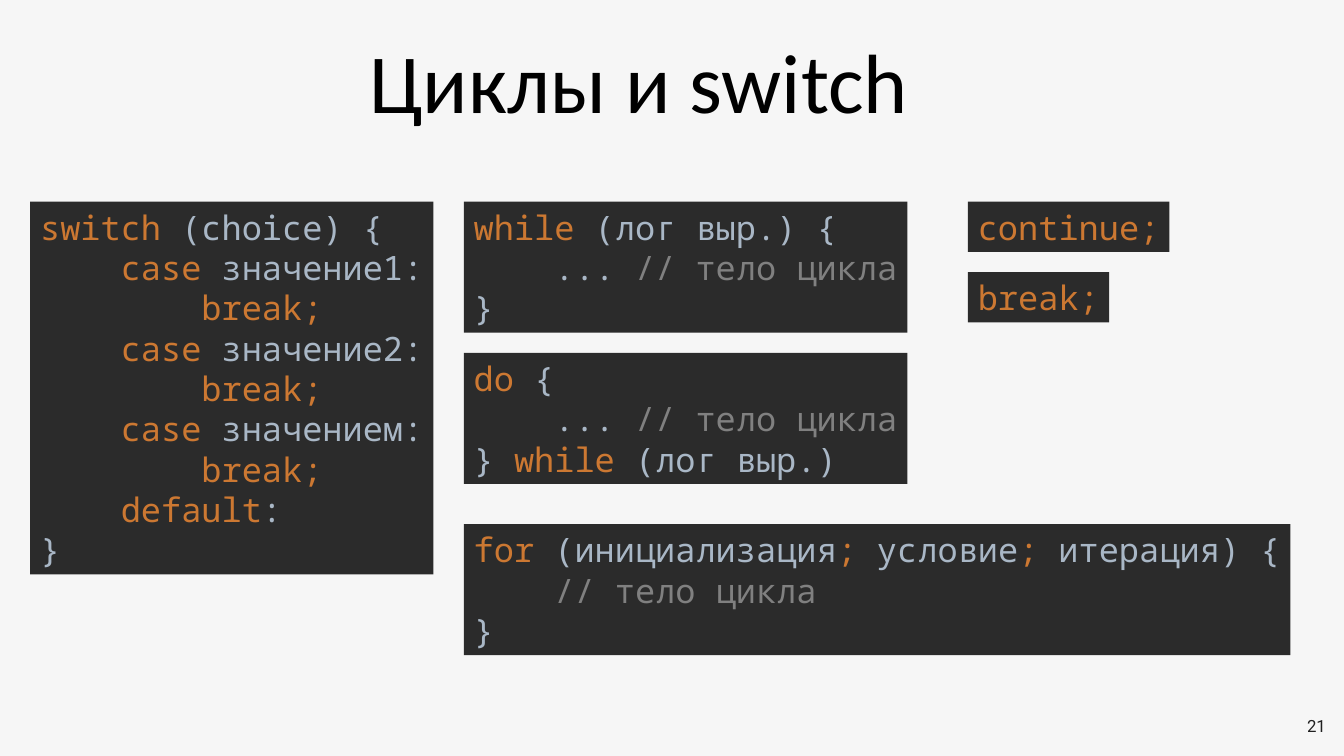
from dataclasses import dataclass

from pptx import Presentation
from pptx.dml.color import RGBColor
from pptx.enum.shapes import MSO_SHAPE
from pptx.enum.text import MSO_ANCHOR, MSO_AUTO_SIZE, PP_ALIGN
from pptx.slide import Slide
from pptx.text.text import TextFrame
from pptx.util import Inches, Pt


@dataclass(frozen=True)
class Theme:
    background: str = "F6F6F6"
    title: str = "000000"
    number: str = "202020"
    panel: str = "2B2B2B"
    keyword: str = "CC7832"
    plain: str = "A9B7C6"
    comment: str = "808080"
    title_font: str = "Calibri"
    number_font: str = "Roboto"
    code_font: str = "Noto Sans Mono"
    title_size: int = 60
    number_size: int = 12
    code_size: int = 24


THEME = Theme()
INDENT_STEP = 0.8  # four monospaced characters at the code size


@dataclass(frozen=True)
class Run:
    text: str
    color: str


@dataclass(frozen=True)
class Line:
    runs: tuple[Run, ...]
    level: int = 0


@dataclass(frozen=True)
class CodePanel:
    left: float
    top: float
    width: float
    lines: tuple[Line, ...]

    @property
    def height(self) -> float:
        return 0.1 + 0.4 * len(self.lines)


def keyword(text: str) -> Run:
    return Run(text, THEME.keyword)


def plain(text: str) -> Run:
    return Run(text, THEME.plain)


def line(*runs: Run, level: int = 0) -> Line:
    return Line(runs, level)


def case_lines(value: str) -> tuple[Line, Line]:
    return (line(keyword("case "), plain(f"{value}:"), level=1),
            line(keyword("break;"), level=2))


COMMENT = Run("// тело цикла", THEME.comment)
LOOP_BODY = line(plain("... "), COMMENT, level=1)
CLOSING = line(plain("}"))

PANELS = (
    CodePanel(0.3, 2, 4, (
        line(keyword("switch "), plain("(choice) {")),
        *case_lines("значение1"),
        *case_lines("значение2"),
        *case_lines("значением"),
        line(keyword("default"), plain(":"), level=1),
        CLOSING,
    )),
    CodePanel(4.6, 2, 4.4, (
        line(keyword("while "), plain("(лог выр.) {")),
        LOOP_BODY,
        CLOSING,
    )),
    CodePanel(4.6, 3.5, 4.4, (
        line(keyword("do "), plain("{")),
        LOOP_BODY,
        line(plain("} "), keyword("while "), plain("(лог выр.)")),
    )),
    CodePanel(4.6, 5.2, 8.2, (
        line(keyword("for "), plain("(инициализация"), keyword("; "),
             plain("условие"), keyword("; "), plain("итерация) {")),
        line(COMMENT, level=1),
        CLOSING,
    )),
    CodePanel(9.6, 2, 2, (line(keyword("continue;")),)),
    CodePanel(9.6, 2.7, 1.4, (line(keyword("break;")),)),
)


def write_text(frame: TextFrame, lines: tuple[Line, ...], *, font: str, size: int,
               align: PP_ALIGN = PP_ALIGN.LEFT, anchor: MSO_ANCHOR = MSO_ANCHOR.MIDDLE,
               wrap: bool = True, auto_size: MSO_AUTO_SIZE = MSO_AUTO_SIZE.NONE,
               line_spacing: float | None = None) -> None:
    frame.word_wrap = wrap
    frame.auto_size = auto_size
    frame.vertical_anchor = anchor
    for index, text_line in enumerate(lines):
        paragraph = frame.add_paragraph() if index else frame.paragraphs[0]
        paragraph.alignment = align
        if line_spacing:
            paragraph.line_spacing = line_spacing
        if text_line.level:
            margin = Inches(INDENT_STEP * text_line.level)
            paragraph._p.get_or_add_pPr().set("marL", str(margin))
        for part in text_line.runs:
            run = paragraph.add_run()
            run.text = part.text
            run.font.name = font
            run.font.size = Pt(size)
            run.font.color.rgb = RGBColor.from_string(part.color)


def add_title(slide: Slide, text: str) -> None:
    title = slide.shapes.title
    title.left, title.top = Inches(0.7), Inches(0.36)
    title.width, title.height = Inches(11.27), Inches(0.64)
    write_text(title.text_frame, (line(Run(text, THEME.title)),),
               font=THEME.title_font, size=THEME.title_size,
               align=PP_ALIGN.CENTER, anchor=MSO_ANCHOR.TOP, line_spacing=0.9)


def add_slide_number(slide: Slide, text: str) -> None:
    box = slide.shapes.add_textbox(Inches(12.39), Inches(6.98), Inches(0.86), Inches(0.44))
    write_text(box.text_frame, (line(Run(text, THEME.number)),),
               font=THEME.number_font, size=THEME.number_size, align=PP_ALIGN.RIGHT)


def add_code_panel(slide: Slide, panel: CodePanel) -> None:
    shape = slide.shapes.add_shape(
        MSO_SHAPE.RECTANGLE, Inches(panel.left), Inches(panel.top),
        Inches(panel.width), Inches(panel.height))
    shape.shadow.inherit = False
    shape.fill.solid()
    shape.fill.fore_color.rgb = RGBColor.from_string(THEME.panel)
    shape.line.fill.background()
    write_text(shape.text_frame, panel.lines, font=THEME.code_font, size=THEME.code_size,
               wrap=False, auto_size=MSO_AUTO_SIZE.SHAPE_TO_FIT_TEXT)


def main() -> None:
    presentation = Presentation()
    presentation.slide_width = Inches(13.33)
    presentation.slide_height = Inches(7.5)
    slide = presentation.slides.add_slide(presentation.slide_layouts.get_by_name("Title Only"))

    # Background, title and page number
    slide.background.fill.solid()
    slide.background.fill.fore_color.rgb = RGBColor.from_string(THEME.background)
    add_slide_number(slide, "21")
    add_title(slide, "Циклы и switch")

    # Code samples
    for panel in PANELS:
        add_code_panel(slide, panel)

    presentation.save("out.pptx")


if __name__ == "__main__":
    main()
